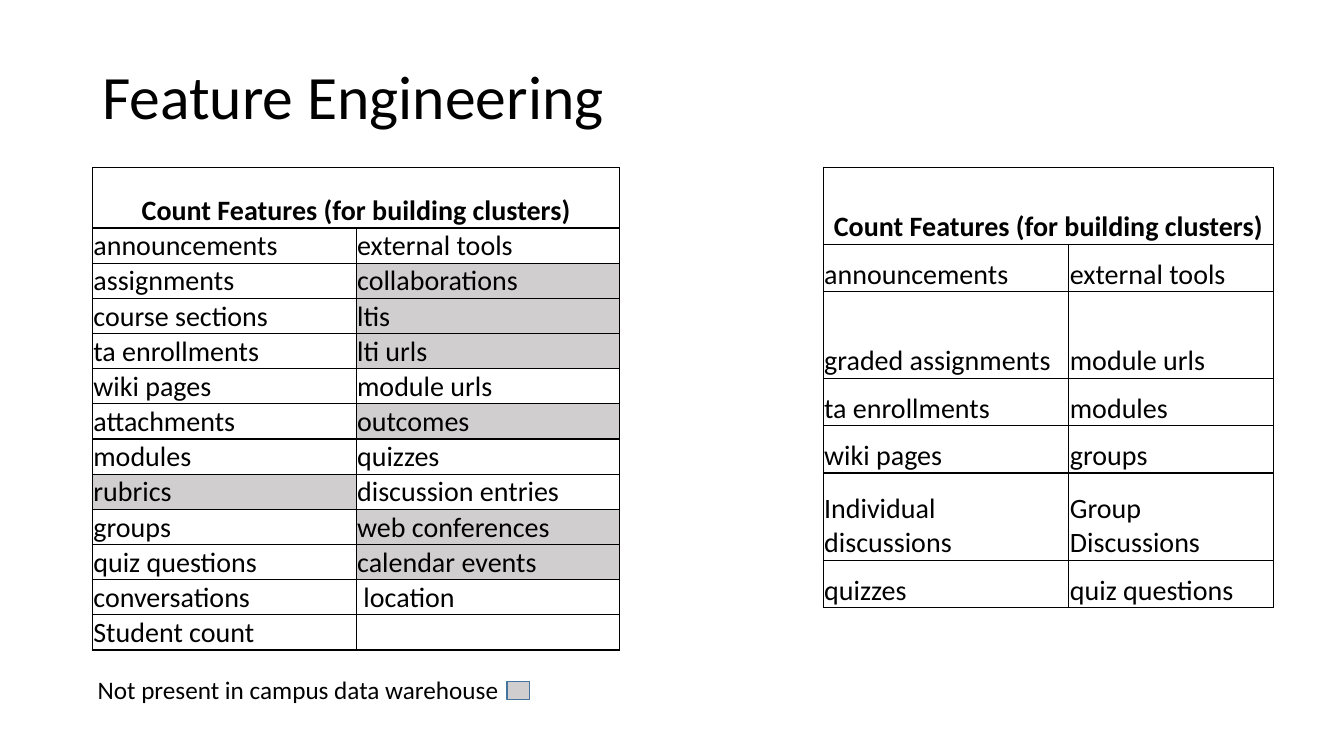
import lxml.etree
import pptx
import pptx.dml.color
import pptx.enum.shapes
import pptx.enum.text
import pptx.oxml.ns
import pptx.util

BLACK = pptx.dml.color.RGBColor(0x00, 0x00, 0x00)
GREY = pptx.dml.color.RGBColor(0xD0, 0xCE, 0xCE)
BLUE = pptx.dml.color.RGBColor(0x43, 0x73, 0x9E)
CENTRE = pptx.enum.text.PP_ALIGN.CENTER
LEFT = pptx.enum.text.PP_ALIGN.LEFT
BOTTOM = pptx.enum.text.MSO_ANCHOR.BOTTOM
MIDDLE = pptx.enum.text.MSO_ANCHOR.MIDDLE

GRID_COLUMNS, GRID_ROWS = 160, 90
PAGE_WIDTH = pptx.util.Inches(13.333)
PAGE_HEIGHT = pptx.util.Inches(7.5)

HEADING = "Count Features (for building clusters)"
ALL_FEATURES = [
    ("announcements", "external tools"),
    ("assignments", "collaborations"),
    ("course sections", "ltis"),
    ("ta enrollments", "lti urls"),
    ("wiki pages", "module urls"),
    ("attachments", "outcomes"),
    ("modules", "quizzes"),
    ("rubrics", "discussion entries"),
    ("groups", "web conferences"),
    ("quiz questions", "calendar events"),
    ("conversations", " location"),
    ("Student count", ""),
]
MISSING = {"collaborations", "ltis", "lti urls", "outcomes", "rubrics",
           "web conferences", "calendar events"}
CHOSEN_FEATURES = [
    ("announcements", "external tools"),
    ("graded assignments", "module urls"),
    ("ta enrollments", "modules"),
    ("wiki pages", "groups"),
    ("Individual discussions", "Group Discussions"),
    ("quizzes", "quiz questions"),
]


def across(columns):
    """Turn grid columns into a length."""
    return int(PAGE_WIDTH * columns / GRID_COLUMNS)


def down(rows):
    """Turn grid rows into a length."""
    return int(PAGE_HEIGHT * rows / GRID_ROWS)


def place(box):
    """Turn a grid box into left, top, width and height."""
    left, top, width, height = box
    return across(left), down(top), across(width), down(height)


def apply_format(target, values):
    """Set each attribute named in a dict of format values."""
    for name, value in values.items():
        setattr(target, name, value)


def write(para, text, size, bold=False):
    """Write one span of black text in a paragraph."""
    font = para.add_run().font if text else para.font
    if text:
        para.runs[0].text = text
    apply_format(font, {"name": "Calibri", "size": pptx.util.Pt(size), "bold": bold})
    font.color.rgb = BLACK


def add_text(page, box, text, size, line_spacing=1.0):
    """Place a vertically centred line of text in a box."""
    frame = page.shapes.add_textbox(*place(box)).text_frame
    apply_format(frame, {"word_wrap": True, "vertical_anchor": MIDDLE})
    frame.paragraphs[0].line_spacing = line_spacing
    write(frame.paragraphs[0], text, size)


def add_borders(cell):
    """Draw a thin black line on all four sides of a cell."""
    properties = cell._tc.get_or_add_tcPr()
    for index, side in enumerate(("lnL", "lnR", "lnT", "lnB")):
        line = lxml.etree.Element(pptx.oxml.ns.qn(f"a:{side}"), w=str(pptx.util.Pt(1)))
        fill = lxml.etree.SubElement(line, pptx.oxml.ns.qn("a:solidFill"))
        lxml.etree.SubElement(fill, pptx.oxml.ns.qn("a:srgbClr"), val=str(BLACK))
        properties.insert(index, line)


def fill_cell(cell, text, shaded, heading):
    """Format one table cell and write its text."""
    apply_format(cell, {
        "margin_left": across(0.12), "margin_right": across(0.12),
        "margin_top": down(0.12), "margin_bottom": 0, "vertical_anchor": BOTTOM,
    })
    if shaded:
        cell.fill.solid()
        cell.fill.fore_color.rgb = GREY
    else:
        cell.fill.background()
    add_borders(cell)
    para = cell.text_frame.paragraphs[0]
    para.alignment = CENTRE if heading else LEFT
    write(para, text, 20, heading)


def add_features(page, corner, widths, heights, features, shaded=frozenset()):
    """Place a two-column feature table under a merged heading."""
    box = (*corner, sum(widths), sum(heights))
    table = page.shapes.add_table(len(heights), len(widths), *place(box)).table
    apply_format(table, {"first_row": False, "horz_banding": False})
    for column, width in zip(table.columns, widths):
        column.width = across(width)
    for row, height in zip(table.rows, heights):
        row.height = down(height)
    for row, texts in enumerate([(HEADING, ""), *features]):
        for column, text in enumerate(texts):
            fill_cell(table.cell(row, column), text, text in shaded, row == 0)
    table.cell(0, 0).merge(table.cell(0, 1))


def add_legend(page, box):
    """Place the legend wording and its grey swatch."""
    left, top, width, height = box
    add_text(page, box, "Not present in campus data warehouse", 18)
    swatch = page.shapes.add_shape(
        pptx.enum.shapes.MSO_SHAPE.RECTANGLE,
        *place((left + 49.9, top + 1.45, 2.7, 2.15)))
    swatch.shadow.inherit = False
    swatch.fill.solid()
    swatch.fill.fore_color.rgb = GREY
    swatch.line.color.rgb = BLUE
    swatch.line.width = pptx.util.Pt(1)


def main():
    """Build the feature engineering slide."""
    deck = pptx.Presentation()
    apply_format(deck, {"slide_width": PAGE_WIDTH, "slide_height": PAGE_HEIGHT})
    page = deck.slides.add_slide(deck.slide_layouts[6])
    add_text(page, (11, 4.8, 138, 14), "Feature Engineering", 44, 0.9)
    add_features(page, (11, 19.95), (31.4, 31.4), [7.2] + [4.19] * len(ALL_FEATURES),
                 ALL_FEATURES, MISSING)
    add_legend(page, (10.45, 79.7, 64, 4.8))
    add_features(page, (98, 19.95), (29.25, 24.36),
                 (9.15, 5.64, 10.3, 5.64, 5.64, 10.4, 5.64), CHOSEN_FEATURES)
    deck.save("out.pptx")


if __name__ == "__main__":
    main()
